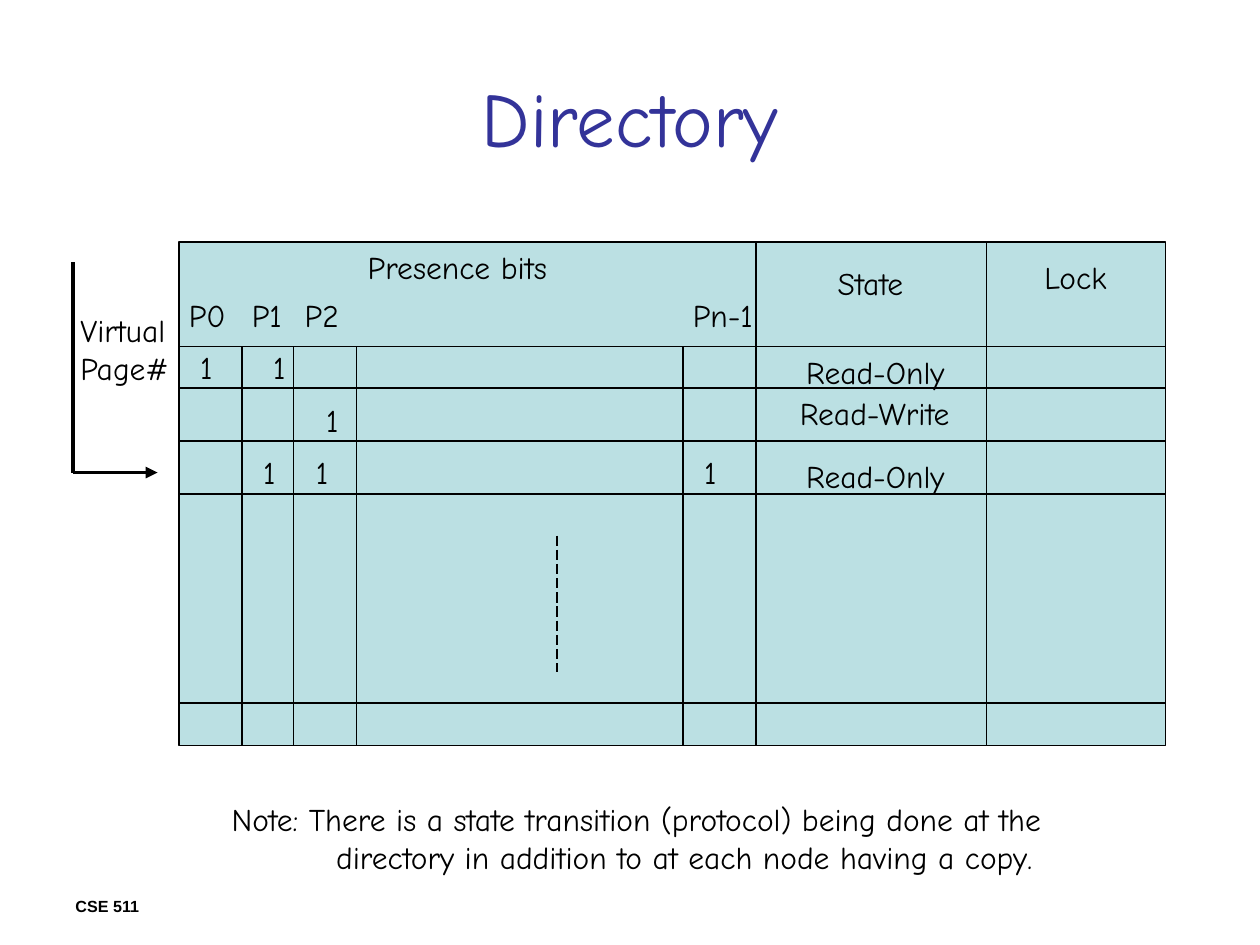
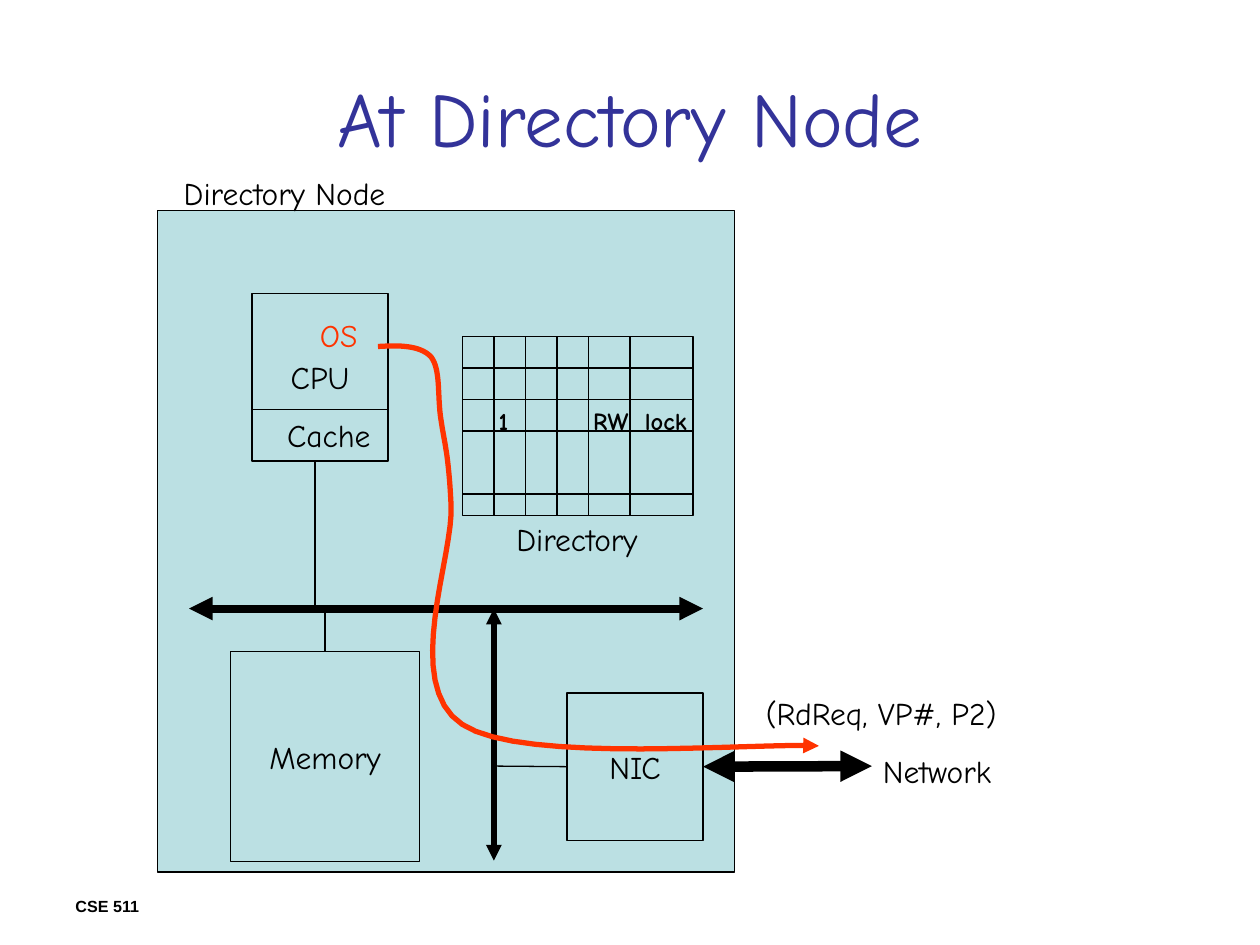
from dataclasses import dataclass

from lxml.etree import SubElement
from pptx import Presentation
from pptx.dml.color import RGBColor
from pptx.enum.dml import MSO_LINE
from pptx.enum.shapes import MSO_CONNECTOR, MSO_SHAPE
from pptx.enum.text import MSO_ANCHOR, MSO_AUTO_SIZE, PP_ALIGN
from pptx.oxml.ns import qn
from pptx.util import Inches, Pt

TOP, LEFT, BOTTOM, RIGHT = range(4)


@dataclass(frozen=True)
class Theme:
    ink: str = "000000"
    title_ink: str = "333399"
    panel: str = "BBE0E3"
    accent: str = "FF3300"
    face: str = "Comic Neue"
    footer_face: str = "Arial"
    title_size: float = 44
    body_size: float = 18
    cell_size: float = 14
    footer_size: float = 9.2
    hairline: float = 0.75


def bezier(start, control_1, control_2, end, steps=16):
    """Points along a cubic curve, without its start."""
    for step in range(1, steps + 1):
        t = step / steps
        weights = ((1 - t) ** 3, 3 * t * (1 - t) ** 2, 3 * t * t * (1 - t), t ** 3)
        corners = (start, control_1, control_2, end)
        yield tuple(sum(w * c[axis] for w, c in zip(weights, corners)) for axis in (0, 1))


class Deck:
    def __init__(self, theme):
        self.theme = theme
        self.prs = Presentation()
        self.prs.slide_width, self.prs.slide_height = Inches(10), Inches(7.5)
        self.shapes = None

    def new_slide(self, title):
        theme = self.theme
        self.shapes = self.prs.slides.add_slide(self.prs.slide_layouts[6]).shapes
        footer = self.text_box("CSE 511", 0.5, 7.08, 2.33, 0.25, size=theme.footer_size,
                               name=theme.footer_face, bold=True)
        footer.paragraphs[0].line_spacing = 0.9
        heading = self.text_box(title, 0.5, 0.3, 9, 1.25, size=theme.title_size,
                                color=theme.title_ink)
        heading.vertical_anchor = MSO_ANCHOR.MIDDLE
        heading.paragraphs[0].alignment = PP_ALIGN.CENTER

    def fill_text(self, frame, text, color=None, **font_format):
        font_format = {"name": self.theme.face, "size": self.theme.body_size,
                       "bold": False} | font_format
        font_format["size"] = Pt(font_format["size"])
        frame.text = text
        for paragraph in frame.paragraphs:
            for attribute, value in font_format.items():
                setattr(paragraph.font, attribute, value)
            paragraph.font.color.rgb = RGBColor.from_string(color or self.theme.ink)

    def text_box(self, text, left, top, width, height, **font_format):
        frame = self.shapes.add_textbox(*map(Inches, (left, top, width, height))).text_frame
        frame.word_wrap = True
        self.fill_text(frame, text, **font_format)
        return frame

    def label(self, text, left, top, width, **font_format):
        """Unwrapped text whose height follows its lines."""
        size = font_format.get("size", self.theme.body_size)
        height = 0.1 + size * 1.2 / 72 * len(text.split("\n"))
        frame = self.text_box(text, left, top, width, height, **font_format)
        frame.word_wrap = False
        frame.auto_size = MSO_AUTO_SIZE.SHAPE_TO_FIT_TEXT
        return frame

    def stroke(self, line, weight=None, color=None, dash=None, arrows=()):
        """arrows holds headEnd for the start and tailEnd for the end."""
        line.color.rgb = RGBColor.from_string(color or self.theme.ink)
        line.width = Pt(weight or self.theme.hairline)
        if dash:
            line.dash_style = dash
        for end in arrows:
            SubElement(line._get_or_add_ln(), qn(f"a:{end}"), type="triangle")

    def box(self, left, top, width, height, text=""):
        box = self.shapes.add_shape(MSO_SHAPE.RECTANGLE,
                                    *map(Inches, (left, top, width, height)))
        box.shadow.inherit = False
        box.fill.solid()
        box.fill.fore_color.rgb = RGBColor.from_string(self.theme.panel)
        self.stroke(box.line)
        if text:
            frame = box.text_frame
            self.fill_text(frame, text)
            frame.word_wrap = False
            frame.vertical_anchor = MSO_ANCHOR.MIDDLE
            frame.paragraphs[0].alignment = PP_ALIGN.CENTER
        return box

    def line(self, x1, y1, x2, y2, begin=None, end=None, **line_format):
        """begin and end are (shape, side) pairs to join."""
        connector = self.shapes.add_connector(MSO_CONNECTOR.STRAIGHT,
                                              *map(Inches, (x1, y1, x2, y2)))
        if begin:
            connector.begin_connect(*begin)
        if end:
            connector.end_connect(*end)
        self.stroke(connector.line, **line_format)
        SubElement(connector._element.spPr, qn("a:effectLst"))

    def grid(self, left, top, width, height, rows, columns=(), column_top=None):
        """A panel ruled at the given heights and, below column_top, at the given columns."""
        panel = self.box(left, top, width, height)
        for y in rows:
            middle = abs(y - top - height / 2) < 0.01
            joins = {"begin": (panel, LEFT), "end": (panel, RIGHT)} if middle else {}
            self.line(left, y, left + width, y, **joins)
        for x in columns:
            self.line(x, column_top or top, x, top + height)

    def curve(self, start, segments, **line_format):
        points = [start]
        for segment in segments:
            points.extend(bezier(points[-1], *segment))
        emu = [tuple(map(Inches, point)) for point in points]
        builder = self.shapes.build_freeform(*emu[0])
        builder.add_line_segments(emu[1:], close=False)
        route = builder.convert_to_shape()
        route.shadow.inherit = False
        route.fill.background()
        self.stroke(route.line, **line_format)


def directory_slide(deck):
    deck.new_slide("Directory")
    top, header_bottom, height = 1.92, 2.75, 4
    rows = (header_bottom, 3.08, 3.5, 3.92, 5.58)
    deck.grid(1.42, top, 6.41, height, rows, (1.92, 2.33, 2.83, 5.42), header_bottom)
    deck.line(6, top, 6, top + height)
    deck.line(4.42, 4.25, 4.42, 5.33, dash=MSO_LINE.LONG_DASH)
    deck.grid(7.83, top, 1.42, height, rows)

    for heading, left, y, width in (("Presence bits", 2.82, 1.92, 1.62),
                                    ("State", 6.55, 2.05, 0.73), ("Lock", 8.19, 2, 0.7)):
        deck.label(heading, left, y, width)
    for processor, left, width in (("P0", 1.4, 0.49), ("P1", 1.9, 0.44),
                                   ("P2", 2.32, 0.47), ("Pn-1", 5.4, 0.68)):
        deck.label(processor, left, 2.3, width)
    for y, bit_lefts in ((2.71, (1.49, 2.07)), (3.13, (2.49,)), (3.55, (1.99, 2.41, 5.49))):
        for left in bit_lefts:
            deck.label("1", left, y, 0.3)
    for state, left, y, width in (("Read-Only", 6.3, 2.75, 1.3),
                                  ("Read-Write", 6.25, 3.08, 1.4),
                                  ("Read-Only", 6.3, 3.58, 1.3)):
        deck.label(state, left, y, width)

    deck.line(0.58, 2.08, 0.58, 3.75, weight=2.25)
    deck.line(0.58, 3.75, 1.25, 3.75, weight=2.25, arrows=("tailEnd",))
    deck.label("Virtual\nPage#", 0.54, 2.42, 0.91)

    note = deck.label("Note: There is a state transition (protocol) being done at the\n"
                      "directory in addition to at each node having a copy.", 1.74, 6.3, 6.67)
    note.paragraphs[1]._p.get_or_add_pPr().set("marL", str(Inches(0.83)))


def directory_node_slide(deck):
    theme = deck.theme
    both_ends = ("headEnd", "tailEnd")
    deck.new_slide("At Directory Node")
    deck.box(1.25, 1.67, 4.58, 5.25)
    deck.label("Directory Node", 1.36, 1.33, 1.81)

    deck.box(2, 2.33, 1.08, 1.33, "CPU")
    deck.line(2, 3.25, 3.08, 3.25)
    deck.label("Cache", 2.18, 3.25, 0.86)
    deck.label("OS", 2.44, 2.46, 0.5, color=theme.accent)

    bus_y, branch_x, nic_y = 4.83, 3.92, 6.08
    deck.line(1.5, bus_y, 5.58, bus_y, weight=4.5, arrows=both_ends)
    deck.line(2.5, 3.67, 2.5, bus_y)
    deck.line(branch_x, bus_y, branch_x, 6.83, weight=3, arrows=both_ends)
    nic = deck.box(4.5, 5.5, 1.08, 1.17, "NIC")
    deck.line(branch_x, nic_y, 4.5, nic_y, end=(nic, LEFT))
    memory = deck.box(1.83, 5.17, 1.5, 1.67, "Memory")
    deck.line(2.58, bus_y, 2.58, 5.17, end=(memory, TOP))
    deck.line(5.58, nic_y, 6.92, nic_y, begin=(nic, RIGHT), weight=6, arrows=both_ends)
    deck.label("Network", 6.91, 5.92, 1.06)

    deck.grid(3.67, 2.67, 1.83, 1.42, (2.92, 3.17, 3.42, 3.92), (3.92, 4.17, 4.42, 4.67, 5))
    for entry, left, width in (("1", 3.86, 0.27), ("RW", 4.61, 0.48), ("lock", 5.02, 0.53)):
        deck.label(entry, left, 3.17, width, size=theme.cell_size, bold=True)
    deck.label("Directory", 4, 4.08, 1.17)

    deck.curve((3, 2.75), (((3.17, 2.74), (3.33, 2.74), (3.42, 2.83)),
                           ((3.5, 2.93), (3.47, 3.14), (3.5, 3.33)),
                           ((3.53, 3.53), (3.56, 3.6), (3.58, 4)),
                           ((3.61, 4.4), (3.18, 5.43), (3.67, 5.75)),
                           ((4.15, 6.07), (6.03, 5.89), (6.5, 5.92))),
               weight=3, color=theme.accent, arrows=("tailEnd",))
    deck.label("(RdReq, VP#, P2)", 5.98, 5.46, 2.04)


def main():
    deck = Deck(Theme())
    directory_slide(deck)
    directory_node_slide(deck)
    deck.prs.save("out.pptx")


if __name__ == "__main__":
    main()
